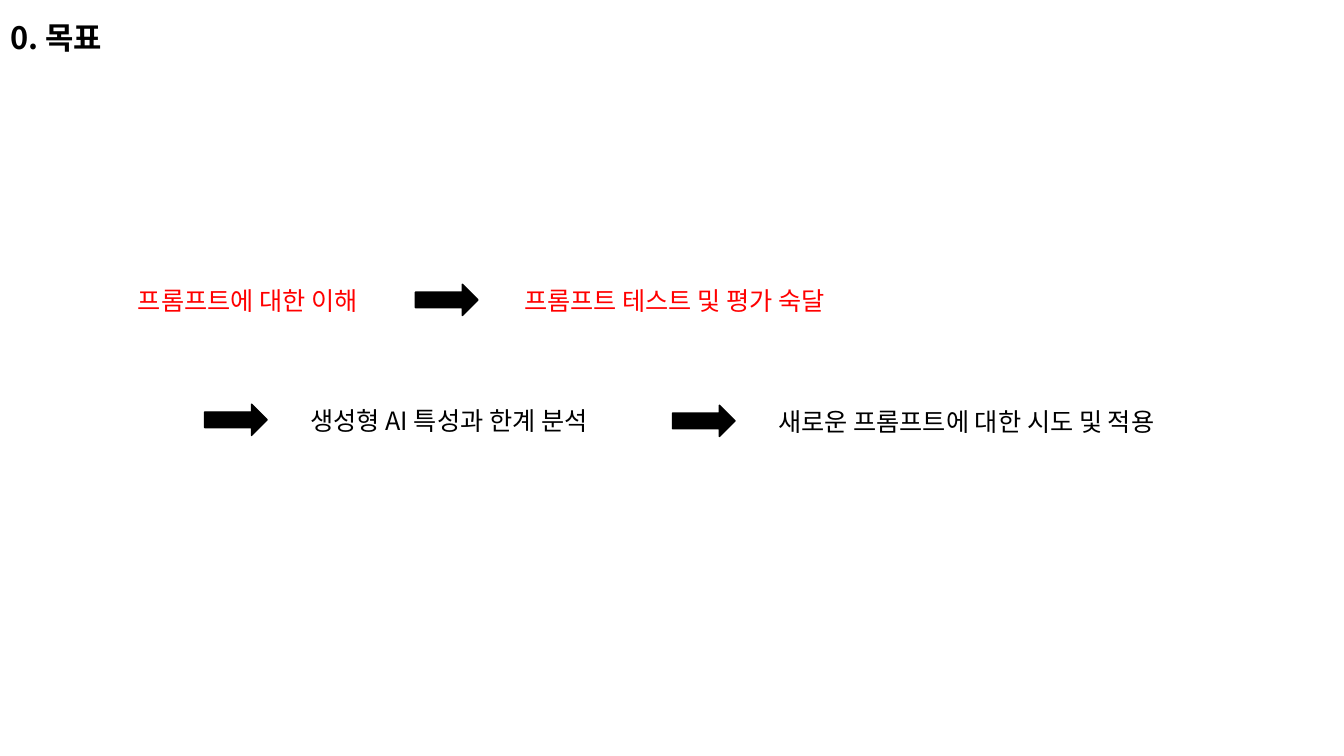
from dataclasses import dataclass

from lxml.etree import SubElement
from pptx import Presentation
from pptx.dml.color import RGBColor as Rgb
from pptx.enum.shapes import MSO_SHAPE as Form
from pptx.enum.text import MSO_ANCHOR as Anchor, PP_ALIGN as Align
from pptx.oxml.ns import qn
from pptx.slide import Slide
from pptx.text.text import TextFrame
from pptx.util import Inches, Pt

FONT = "Noto Sans CJK KR"
COLORS = {"black": "000000", "red": "FF0000"}


@dataclass
class Goal:
    text: str
    left: float
    top: float
    width: float
    color: str


@dataclass
class Arrow:
    left: float
    top: float


GOALS = [
    Goal("프롬프트에 대한 이해", 1.27, 2.78, 3.12, "red"),
    Goal("프롬프트 테스트 및 평가 숙달", 5.1, 2.78, 3.68, "red"),
    Goal("생성형 AI 특성과 한계 분석", 2.98, 3.97, 3.68, "black"),
    Goal("새로운 프롬프트에 대한 시도 및 적용", 7.62, 3.98, 4.4, "black"),
]
ARROWS = [Arrow(4.12, 2.82), Arrow(2.03, 4.01), Arrow(6.67, 4.02)]


def style(frame: TextFrame, size: int, color: str, bold: bool = False) -> None:
    """Format every run, for Latin and Korean letters alike."""
    for para in frame.paragraphs:
        para.alignment = Align.LEFT
        for run in para.runs:
            font = run.font
            font.size, font.bold, font.name = Pt(size), bold, FONT
            font.color.rgb = Rgb.from_string(COLORS[color])
            SubElement(font._element, qn("a:ea"), typeface=FONT)


def add_title(slide: Slide, text: str) -> None:
    title = slide.shapes.title
    title.left, title.top = Inches(0), Inches(0)
    title.width, title.height = Inches(13.33), Inches(0.79)
    frame = title.text_frame
    frame.text = text
    frame.vertical_anchor = Anchor.MIDDLE
    frame.paragraphs[0].line_spacing = 0.9
    style(frame, 22, "black", True)


def add_goal(slide: Slide, goal: Goal) -> None:
    box = slide.shapes.add_textbox(
        Inches(goal.left), Inches(goal.top), Inches(goal.width), Inches(0.4))
    frame = box.text_frame
    frame.word_wrap = True
    frame.text = goal.text
    style(frame, 18, goal.color)


def add_arrow(slide: Slide, arrow: Arrow) -> None:
    shape = slide.shapes.add_shape(
        Form.RIGHT_ARROW, Inches(arrow.left), Inches(arrow.top),
        Inches(0.62), Inches(0.31))
    black = Rgb.from_string(COLORS["black"])
    shape.shadow.inherit = False
    shape.fill.solid()
    shape.fill.fore_color.rgb = black
    shape.line.color.rgb = black
    shape.line.width = Pt(1)


def main() -> None:
    deck = Presentation()
    deck.slide_width, deck.slide_height = Inches(13.33), Inches(7.5)
    slide = deck.slides.add_slide(deck.slide_layouts[5])

    # Heading
    add_title(slide, "0. 목표")

    # Steps and the arrows between them
    for goal in GOALS:
        add_goal(slide, goal)
    for arrow in ARROWS:
        add_arrow(slide, arrow)

    deck.save("out.pptx")


if __name__ == "__main__":
    main()
